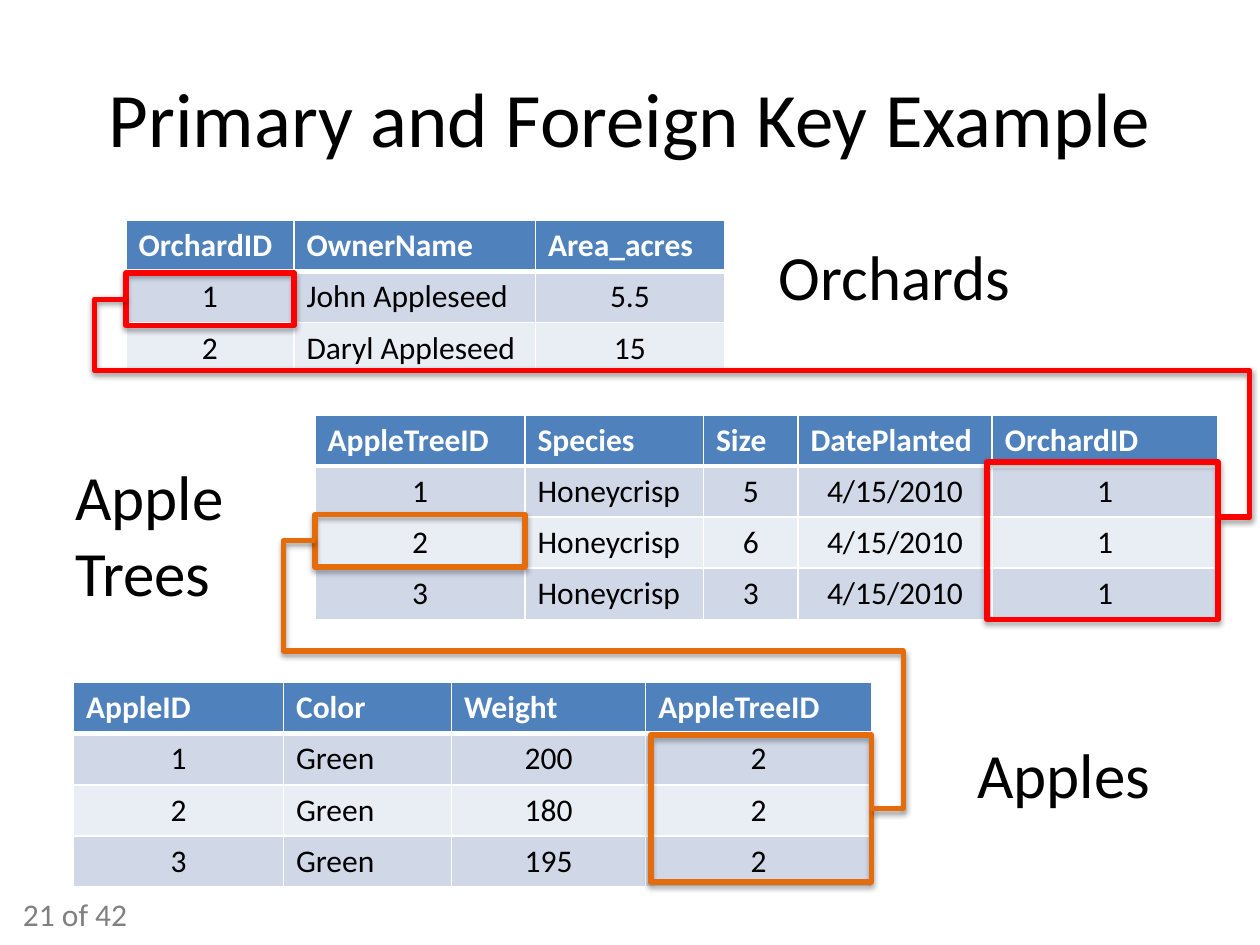
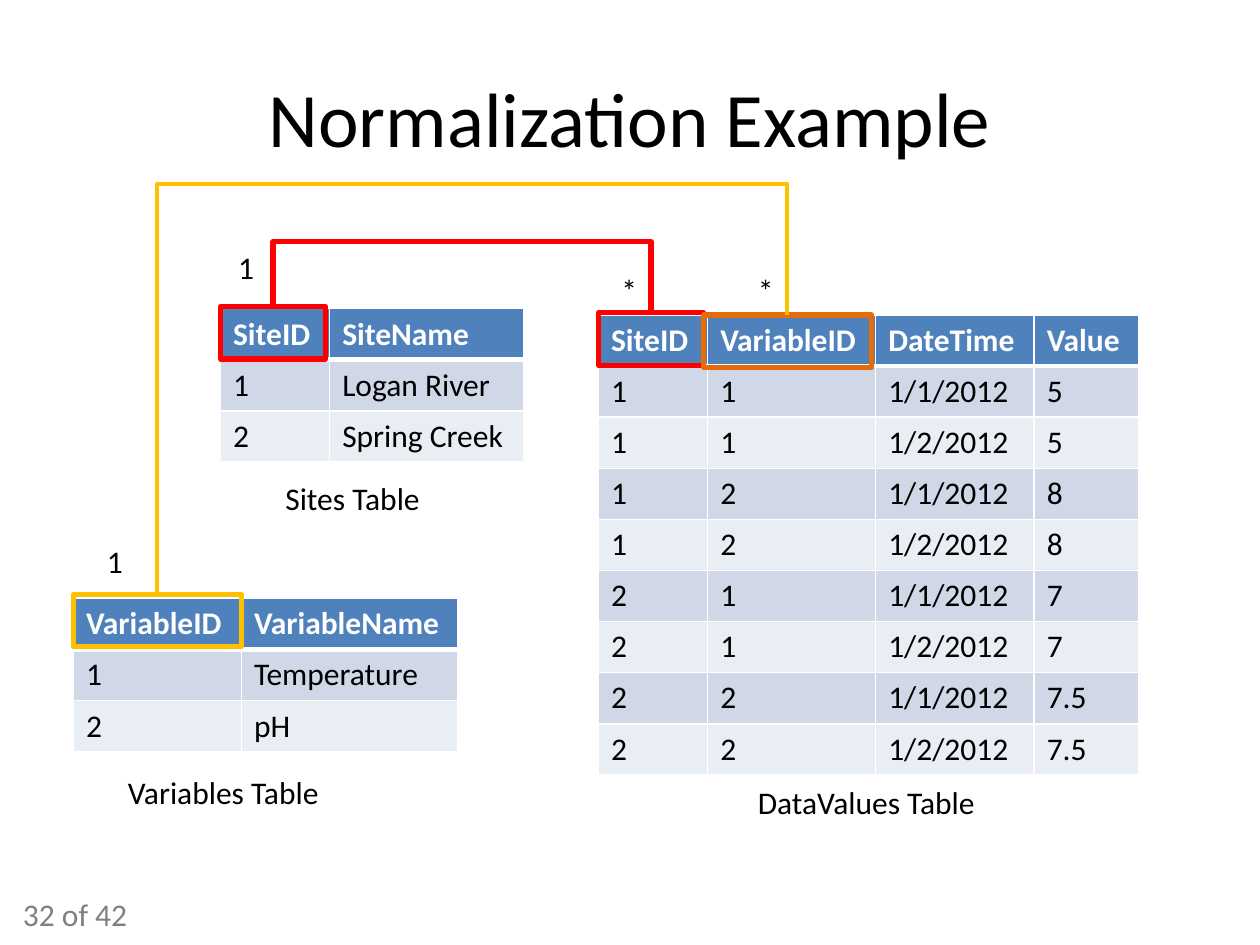
from lxml import etree
from pptx import Presentation
from pptx.dml.color import RGBColor
from pptx.enum.shapes import MSO_CONNECTOR, MSO_SHAPE
from pptx.enum.text import MSO_ANCHOR, PP_ALIGN
from pptx.oxml.ns import qn
from pptx.util import Pt

PX = 7620
FONT = "Calibri"
BLACK = RGBColor(0x00, 0x00, 0x00)
WHITE = RGBColor(0xFF, 0xFF, 0xFF)
GRAY = RGBColor(0x80, 0x80, 0x80)
HEADER_BLUE = RGBColor(0x4F, 0x81, 0xBD)
BANDS = [RGBColor(0xE9, 0xED, 0xF4), RGBColor(0xD0, 0xD8, 0xE8)]
RED = RGBColor(0xFF, 0x00, 0x00)
ORANGE = RGBColor(0xE4, 0x6C, 0x0A)
YELLOW = RGBColor(0xFF, 0xC0, 0x00)
LEFT, CENTER = PP_ALIGN.LEFT, PP_ALIGN.CENTER
TOP, MIDDLE = MSO_ANCHOR.TOP, MSO_ANCHOR.MIDDLE
RECTANGLE = MSO_SHAPE.RECTANGLE
ELBOW = MSO_CONNECTOR.ELBOW
SITE_TOP, SITE_LEFT, SITE_RIGHT = 0, 1, 3

SLIDES = [
    {
        "title": "Primary and Foreign Key Example",
        "footer": "21 of 42",
        "shadow": True,
        "tables": {
            "orchards": (120, 210, 146, [160, 230, 180], [0, 2], [
                ["OrchardID", "OwnerName", "Area_acres"],
                ["1", "John Appleseed", "5.5"],
                ["2", "Daryl Appleseed", "15"],
            ]),
            "trees": (300, 395, 195, [200, 170, 90, 185, 215], [0, 2, 3, 4], [
                ["AppleTreeID", "Species", "Size", "DatePlanted", "OrchardID"],
                ["1", "Honeycrisp", "5", "4/15/2010", "1"],
                ["2", "Honeycrisp", "6", "4/15/2010", "1"],
                ["3", "Honeycrisp", "3", "4/15/2010", "1"],
            ]),
            "apples": (70, 650, 195, [200, 160, 185, 215], [0, 2, 3], [
                ["AppleID", "Color", "Weight", "AppleTreeID"],
                ["1", "Green", "200", "2"],
                ["2", "Green", "180", "2"],
                ["3", "Green", "195", "2"],
            ]),
        },
        "keys": {
            "orchard primary": (120, 260, 160, 50, RED),
            "orchard foreign": (940, 440, 220, 150, RED),
            "tree primary": (300, 490, 200, 50, ORANGE),
            "tree foreign": (620, 700, 210, 140, ORANGE),
        },
        "links": [
            ("orchard primary", SITE_LEFT, "trees", SITE_RIGHT, RED, 3,
             180, True, True, [("x", 90), ("y", 353), ("x", 1190)]),
            ("tree primary", SITE_LEFT, "tree foreign", SITE_RIGHT, ORANGE, 3,
             180, True, True, [("x", 270), ("y", 620), ("x", 860)]),
        ],
        "label size": 36,
        "labels": [
            ("Orchards", 730, 220, 248, 85),
            ("Apple\nTrees", 60, 430, 167, 157),
            ("Apples", 919, 695, 191, 85),
        ],
    },
    {
        "title": "Normalization Example",
        "footer": "32 of 42",
        "shadow": False,
        "tables": {
            "data values": (570, 300, 438, [104, 160, 151, 100], [], [
                ["SiteID", "VariableID", "DateTime", "Value"],
                ["1", "1", "1/1/2012", "5"],
                ["1", "1", "1/2/2012", "5"],
                ["1", "2", "1/1/2012", "8"],
                ["1", "2", "1/2/2012", "8"],
                ["2", "1", "1/1/2012", "7"],
                ["2", "1", "1/2/2012", "7"],
                ["2", "2", "1/1/2012", "7.5"],
                ["2", "2", "1/2/2012", "7.5"],
            ]),
            "sites": (210, 294, 146, [104, 185], [], [
                ["SiteID", "SiteName"],
                ["1", "Logan River"],
                ["2", "Spring Creek"],
            ]),
            "variables": (70, 570, 146, [160, 206], [], [
                ["VariableID", "VariableName"],
                ["1", "Temperature"],
                ["2", "pH"],
            ]),
        },
        "keys": {
            "site primary": (210, 292, 100, 50, RED),
            "site foreign": (570, 298, 100, 50, RED),
            "variable primary": (70, 566, 160, 50, YELLOW),
            "variable foreign": (670, 300, 160, 50, ORANGE),
        },
        "links": [
            ("site primary", SITE_TOP, "site foreign", SITE_TOP, RED, 3,
             270, True, False, [("y", 230)]),
            ("variable primary", SITE_TOP, "variable foreign", SITE_TOP, YELLOW, 2.25,
             90, True, True, [("y", 175)]),
        ],
        "label size": 18,
        "labels": [
            ("1", 90, 510, 30, 48),
            ("1", 215, 230, 30, 48),
            ("*", 710, 252, 30, 48),
            ("*", 580, 252, 30, 48),
            ("Variables Table", 110, 730, 212, 48),
            ("Sites Table", 260, 450, 156, 48),
            ("DataValues Table", 710, 740, 238, 48),
        ],
    },
]


def write_text(text, frame, size=18, color=BLACK, bold=False, align=LEFT, anchor=TOP, wrap=True):
    frame.word_wrap = wrap
    frame.vertical_anchor = anchor
    for index, line in enumerate(text.split("\n")):
        para = frame.paragraphs[0] if index == 0 else frame.add_paragraph()
        para.alignment = align
        span = para.add_run()
        span.text = line
        span.font.name = FONT
        span.font.size = Pt(size)
        span.font.bold = bold
        span.font.color.rgb = color


def add_shadow(effects, distance, opacity):
    shadow = etree.SubElement(effects, qn("a:outerShdw"), blurRad="40000", dist=str(distance),
                              dir="5400000", rotWithShape="0")
    tint = etree.SubElement(shadow, qn("a:srgbClr"), val=str(BLACK))
    etree.SubElement(tint, qn("a:alpha"), val=str(opacity * 1000))


deck = Presentation()
deck.slide_width = 1200 * PX
deck.slide_height = 900 * PX

for content in SLIDES:
    page = deck.slides.add_slide(deck.slide_layouts[6])
    footer = page.shapes.add_textbox(10 * PX, 847 * PX, 138 * PX, 48 * PX)
    write_text(content["footer"], footer.text_frame, color=GRAY)
    title = page.shapes.add_textbox(60 * PX, 36 * PX, 1080 * PX, 150 * PX)
    write_text(content["title"], title.text_frame, size=44, align=CENTER, anchor=MIDDLE)

    anchors = {}
    for name, (left, top, height, widths, centered, rows) in content["tables"].items():
        holder = page.shapes.add_table(len(rows), len(widths), left * PX, top * PX,
                                       sum(widths) * PX, height * PX)
        anchors[name] = holder
        table = holder.table
        for column, width in zip(table.columns, widths):
            column.width = width * PX
        for row_index, row in enumerate(rows):
            is_header = row_index == 0
            for column_index, text in enumerate(row):
                cell = table.cell(row_index, column_index)
                properties = cell._tc.get_or_add_tcPr()
                for side in "LRTB":
                    heavy = (is_header and side == "B") or (row_index == 1 and side == "T")
                    border = etree.SubElement(properties, qn("a:ln" + side),
                                              w=str(Pt(3 if heavy else 1)))
                    paint = etree.SubElement(border, qn("a:solidFill"))
                    etree.SubElement(paint, qn("a:srgbClr"), val=str(WHITE))
                cell.fill.solid()
                cell.fill.fore_color.rgb = HEADER_BLUE if is_header else BANDS[row_index % 2]
                write_text(text, cell.text_frame, color=WHITE if is_header else BLACK,
                           bold=is_header,
                           align=CENTER if column_index in centered and not is_header else LEFT)

    for name, (left, top, width, height, color) in content["keys"].items():
        box = page.shapes.add_shape(RECTANGLE, left * PX, top * PX, width * PX, height * PX)
        anchors[name] = box
        box.fill.background()
        box.line.color.rgb = color
        box.line.width = Pt(3)
        box.shadow.inherit = False
        if content["shadow"]:
            add_shadow(box._element.spPr.find(qn("a:effectLst")), 23000, 35)

    for (start, start_site, finish, finish_site, color, weight,
         rotation, flip_h, flip_v, route) in content["links"]:
        link = page.shapes.add_connector(ELBOW, 0, 0, PX, PX)
        link.begin_connect(anchors[start], start_site)
        link.end_connect(anchors[finish], finish_site)
        link.line.color.rgb = color
        link.line.width = Pt(weight)
        begin = {"x": link.begin_x, "y": link.begin_y}
        end = {"x": link.end_x, "y": link.end_y}
        properties = link._element.spPr

        geometry = properties.find(qn("a:prstGeom"))
        geometry.set("prst", f"bentConnector{len(route) + 2}")
        for old_guides in geometry.findall(qn("a:avLst")):
            geometry.remove(old_guides)
        guides = etree.SubElement(geometry, qn("a:avLst"))
        for index, (axis, stop) in enumerate(route, 1):
            ratio = (stop * PX - begin[axis]) / (end[axis] - begin[axis])
            etree.SubElement(guides, qn("a:gd"), name=f"adj{index}",
                             fmla=f"val {round(ratio * 100000)}")

        width, height = abs(end["x"] - begin["x"]), abs(end["y"] - begin["y"])
        if rotation != 180:
            width, height = height, width
        link.left = (begin["x"] + end["x"] - width) // 2
        link.top = (begin["y"] + end["y"] - height) // 2
        link.width, link.height = width, height
        frame = properties.find(qn("a:xfrm"))
        frame.set("rot", str(rotation * 60000))
        frame.set("flipH", str(int(flip_h)))
        frame.set("flipV", str(int(flip_v)))

        effects = etree.SubElement(properties, qn("a:effectLst"))
        if content["shadow"]:
            add_shadow(effects, 20000, 38)

    for text, left, top, width, height in content["labels"]:
        label = page.shapes.add_textbox(left * PX, top * PX, width * PX, height * PX)
        write_text(text, label.text_frame, size=content["label size"], wrap=False)

deck.save("out.pptx")
